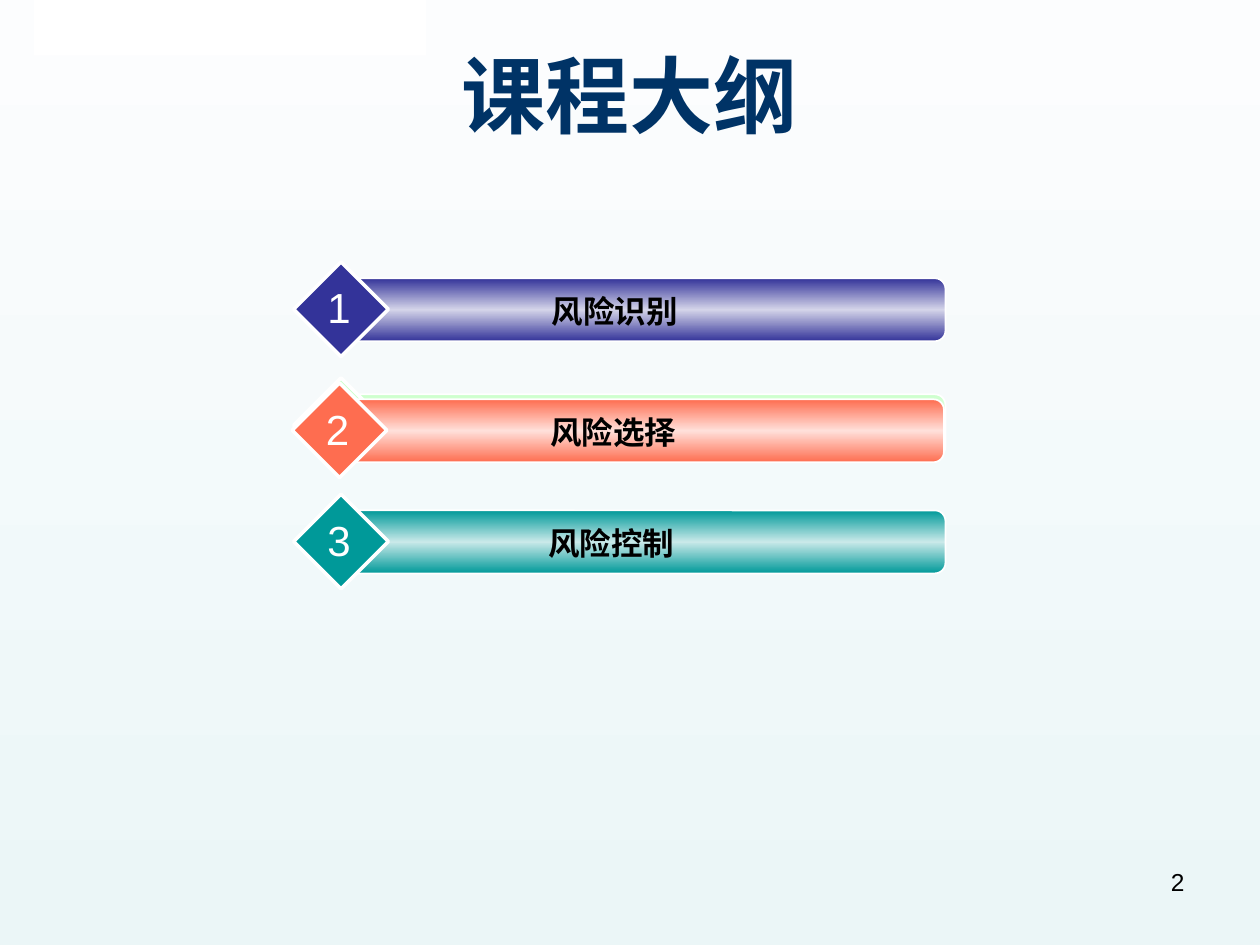
from copy import deepcopy
from dataclasses import dataclass

from pptx import Presentation
from pptx import util as u
from pptx.dml.color import RGBColor
from pptx.enum import shapes, text
from pptx.oxml.ns import qn
from pptx.shapes.group import GroupShape
from pptx.text.text import TextFrame


@dataclass(frozen=True)
class Theme:
    font: str = "Arial"
    title: str = "003366"
    ink: str = "000000"
    white: str = "FFFFFF"
    background: tuple[str, str] = ("FCFDFE", "EBF6F7")
    title_size: int = 48
    number_size: int = 24
    label_size: int = 18
    page_size: int = 14


@dataclass(frozen=True)
class Item:
    left: float
    top: float
    color: str
    glow: str
    number: str = ""
    label: str = ""


THEME = Theme()
LEFT, TOP, PITCH = 6.99, 5.61, 2.34

ITEMS = [
    Item(LEFT, TOP, "333399", "D4D4E9", "1", "风险识别"),
    Item(LEFT, TOP + PITCH, "CCFFCC", "F4FFF4"),
    Item(LEFT, TOP + 2 * PITCH, "009999", "C9E9E9", "3", "风险控制 "),
    Item(LEFT - 0.03, TOP + PITCH + 0.1, "FE6D50", "FFE0DA", "2", "风险选择"),
]


def box(left: float, top: float, width: float, height: float) -> tuple:
    return u.Cm(left), u.Cm(top), u.Cm(width), u.Cm(height)


def set_text(frame: TextFrame, content: str, size: int, color: str,
             bold: bool = False, align=text.PP_ALIGN.CENTER, wrap: bool = True) -> None:
    frame.text = content
    frame.word_wrap = wrap
    frame.vertical_anchor = text.MSO_ANCHOR.TOP
    paragraph = frame.paragraphs[0]
    paragraph.alignment = align
    font = paragraph.runs[0].font
    font.name, font.size, font.bold = THEME.font, u.Pt(size), bold
    font.color.rgb = RGBColor.from_string(color)


def set_gradient(fill, colors: tuple[str, str], end: float = 1.0) -> None:
    fill.gradient()
    fill.gradient_angle = 270
    for stop, color, position in zip(fill.gradient_stops, colors, (0, end)):
        stop.color.rgb = RGBColor.from_string(color)
        stop.position = position


def add_outlined(group: GroupShape, kind, place: tuple, line_width: float):
    shape = group.shapes.add_shape(kind, *place)
    shape.shadow.inherit = False
    shape.line.color.rgb = RGBColor.from_string(THEME.white)
    shape.line.width = u.Pt(line_width)
    return shape


def add_item(slide, item: Item) -> None:
    group = slide.shapes.add_group_shape()
    left, top = item.left, item.top

    bar = add_outlined(group, shapes.MSO_SHAPE.ROUNDED_RECTANGLE,
                       box(left, top, 12.07, 1.27), 1)
    set_gradient(bar.fill, (item.color, item.glow), 0.5)
    stops = bar.element.spPr.find(qn("a:gradFill")).find(qn("a:gsLst"))
    last = deepcopy(stops[0])
    last.set("pos", "100000")
    stops.append(last)

    diamond = add_outlined(group, shapes.MSO_SHAPE.DIAMOND,
                           box(left - 1.07, top - 0.33, 1.91, 1.91), 2)
    diamond.fill.solid()
    diamond.fill.fore_color.rgb = RGBColor.from_string(item.color)

    if item.label:
        label = group.shapes.add_textbox(*box(left + 0.64, top + 0.15, 9.53, 1.02))
        set_text(label.text_frame, item.label, THEME.label_size, THEME.ink, bold=True)
        number = group.shapes.add_textbox(*box(left - 0.64, top - 0.05, 0.97, 1.27))
        set_text(number.text_frame, item.number, THEME.number_size, THEME.white, wrap=False)


def main() -> None:
    presentation = Presentation()
    presentation.slide_width, presentation.slide_height = u.Cm(25.4), u.Cm(19.05)
    slide = presentation.slides.add_slide(presentation.slide_layouts[5])
    set_gradient(slide.background.fill, THEME.background)

    title = slide.shapes.title
    corner = slide.shapes.add_shape(shapes.MSO_SHAPE.RECTANGLE, *box(0.69, 0, 7.9, 1.12))
    corner.shadow.inherit = False
    corner.fill.solid()
    corner.fill.fore_color.rgb = RGBColor.from_string(THEME.white)
    corner.line.fill.background()
    title.element.addprevious(corner.element)

    title.left, title.top, title.width, title.height = box(1.27, 0.76, 22.86, 3.18)
    set_text(title.text_frame, "课程大纲", THEME.title_size, THEME.title, bold=True)
    title.text_frame.auto_size = text.MSO_AUTO_SIZE.NONE

    for item in ITEMS:
        add_item(slide, item)

    page = slide.shapes.add_textbox(*box(18.21, 17.35, 5.92, 1.32))
    set_text(page.text_frame, "2", THEME.page_size, THEME.ink, align=text.PP_ALIGN.RIGHT)

    presentation.save("out.pptx")


if __name__ == "__main__":
    main()
